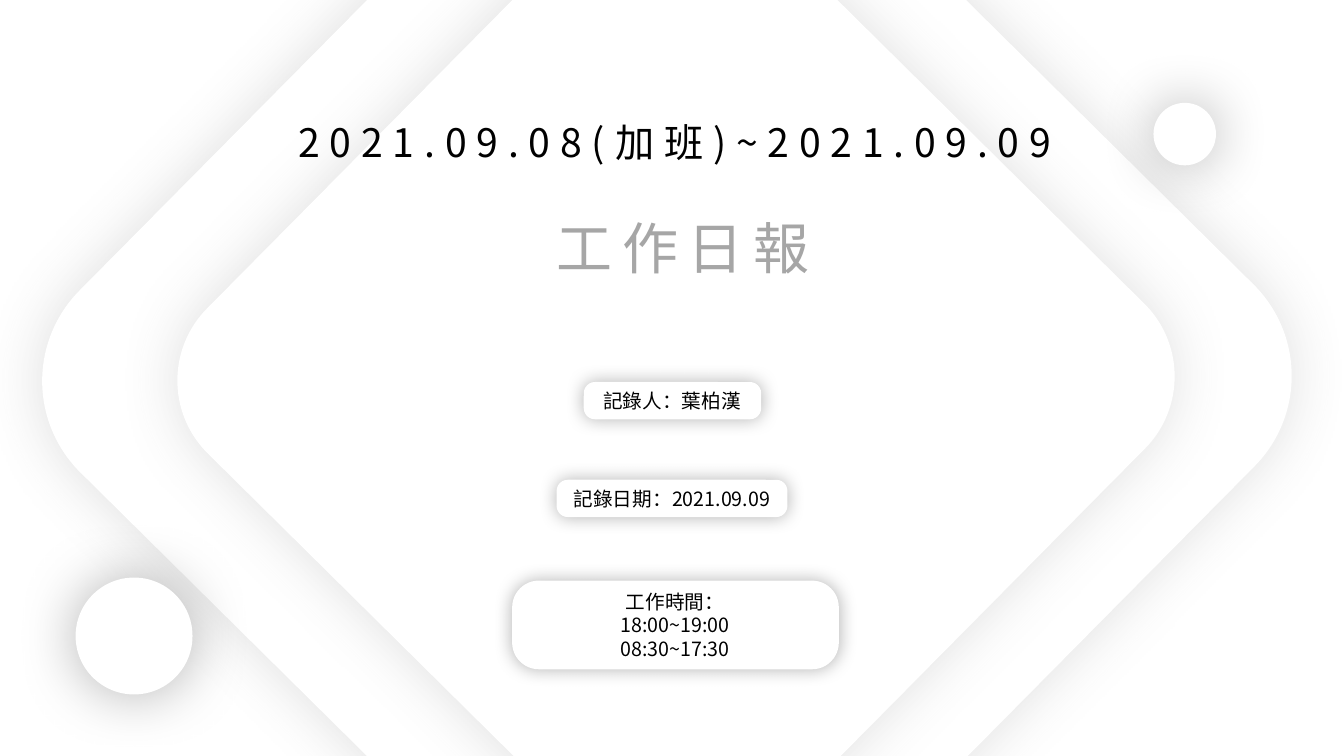
"""Build the cover slide of a daily work report."""
from lxml import etree
from pptx import Presentation
from pptx.dml.color import RGBColor
from pptx.enum import shapes, text
from pptx.oxml import ns
from pptx.util import Inches, Pt


def color(value):
    return RGBColor.from_string(value)


def write(para, words, size=14, ink="000000", tracking=0, leading=1.2, font="Noto Sans CJK SC"):
    para.alignment = text.PP_ALIGN.CENTER
    para.line_spacing = Pt(size * leading)
    span = para.add_run()
    span.text = words
    span.font.size = Pt(size)
    span.font.color.rgb = color(ink)
    span.font.name = font
    properties = span.font._element
    etree.SubElement(properties, ns.qn("a:ea")).set("typeface", font)
    if tracking:
        properties.set("spc", str(tracking * 100))


class Cover:
    def __init__(self, page):
        self.page = page
        self.paper = "FFFFFF"
        page.background.fill.solid()
        page.background.fill.fore_color.rgb = color(self.paper)

    def panel(self, kind, area, shade="000000", opacity=30, blur=43, corner=None, turn=0, parent=None):
        shape = (parent or self.page).shapes.add_shape(kind, *map(Inches, area))
        shape.fill.solid()
        shape.fill.fore_color.rgb = color(self.paper)
        shape.line.fill.background()
        shape.rotation = turn
        if corner is not None:
            shape.adjustments[0] = corner
        shape.shadow.inherit = False
        effects = shape._element.spPr.find(ns.qn("a:effectLst"))
        glow = etree.SubElement(effects, ns.qn("a:outerShdw"), blurRad=str(Pt(blur)),
                                dist="0", dir="0", algn="ctr", rotWithShape="0")
        tint = etree.SubElement(glow, ns.qn("a:srgbClr"), val=shade)
        etree.SubElement(tint, ns.qn("a:alpha"), val=str(opacity * 1000))

    def label(self, area, lines, parent=None, **style):
        box = (parent or self.page).shapes.add_textbox(*map(Inches, area))
        frame = box.text_frame
        frame.word_wrap = True
        for index, words in enumerate(lines):
            para = frame.add_paragraph() if index else frame.paragraphs[0]
            write(para, words, **style)

    def diamond(self, area):
        self.panel(shapes.MSO_SHAPE.ROUNDED_RECTANGLE, area, "595959", 19, corner=0.134, turn=44.7)

    def badge(self, area, text_area, lines):
        group = self.page.shapes.add_group_shape()
        self.panel(shapes.MSO_SHAPE.ROUNDED_RECTANGLE, area, blur=13, corner=0.302, parent=group)
        self.label(text_area, lines, parent=group)


def main():
    deck = Presentation()
    deck.slide_width, deck.slide_height = Inches(13.33), Inches(7.5)
    cover = Cover(deck.slides.add_slide(deck.slide_layouts[6]))

    cover.diamond((1.86, -1, 9.51, 9.51))
    cover.diamond((2.91, -0.04, 7.59, 7.59))
    cover.label((2.66, 1.09, 8.07, 0.57), ["2021.09.08(加班)~2021.09.09"],
                size=28, tracking=7, leading=1.3)
    cover.label((4.4, 2.01, 4.75, 0.77), ["工作日報"],
                size=40, ink="A6A6A6", tracking=7, leading=1.3)

    for left, top, diameter in ((0.75, 5.73, 1.16), (11.44, 1.02, 0.62)):
        cover.panel(shapes.MSO_SHAPE.OVAL, (left, top, diameter, diameter))

    cover.badge((5.79, 3.79, 1.76, 0.37), (5.62, 3.81, 2.09, 0.34), ["記錄人：葉柏漢"])
    cover.badge((5.52, 4.76, 2.29, 0.37), (5.46, 4.78, 2.41, 0.34), ["記錄日期：2021.09.09"])
    cover.badge((5.08, 5.76, 3.24, 0.88), (4.99, 5.8, 3.41, 0.81),
                ["工作時間：", "18:00~19:00", "08:30~17:30"])

    deck.save("out.pptx")


if __name__ == "__main__":
    main()
